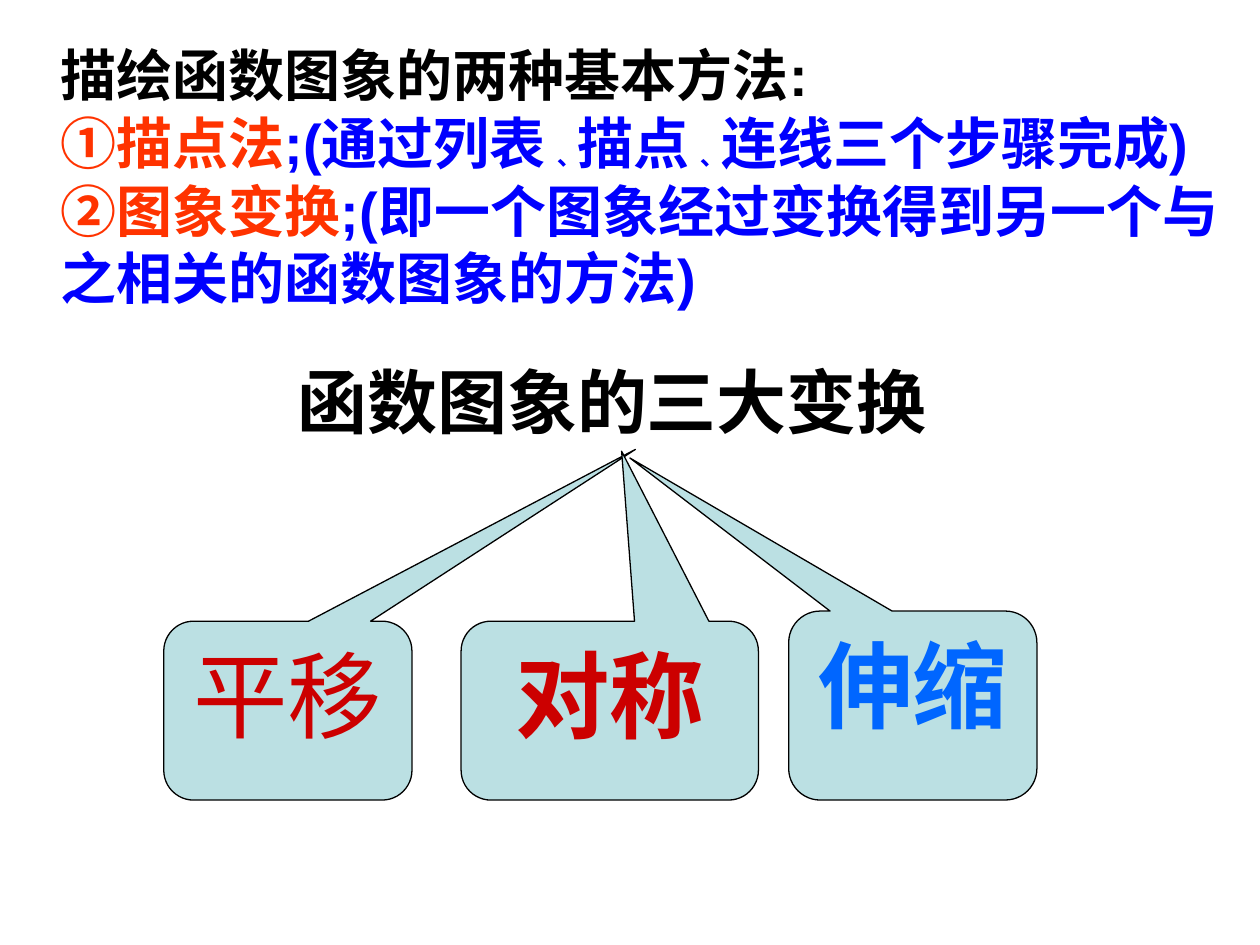
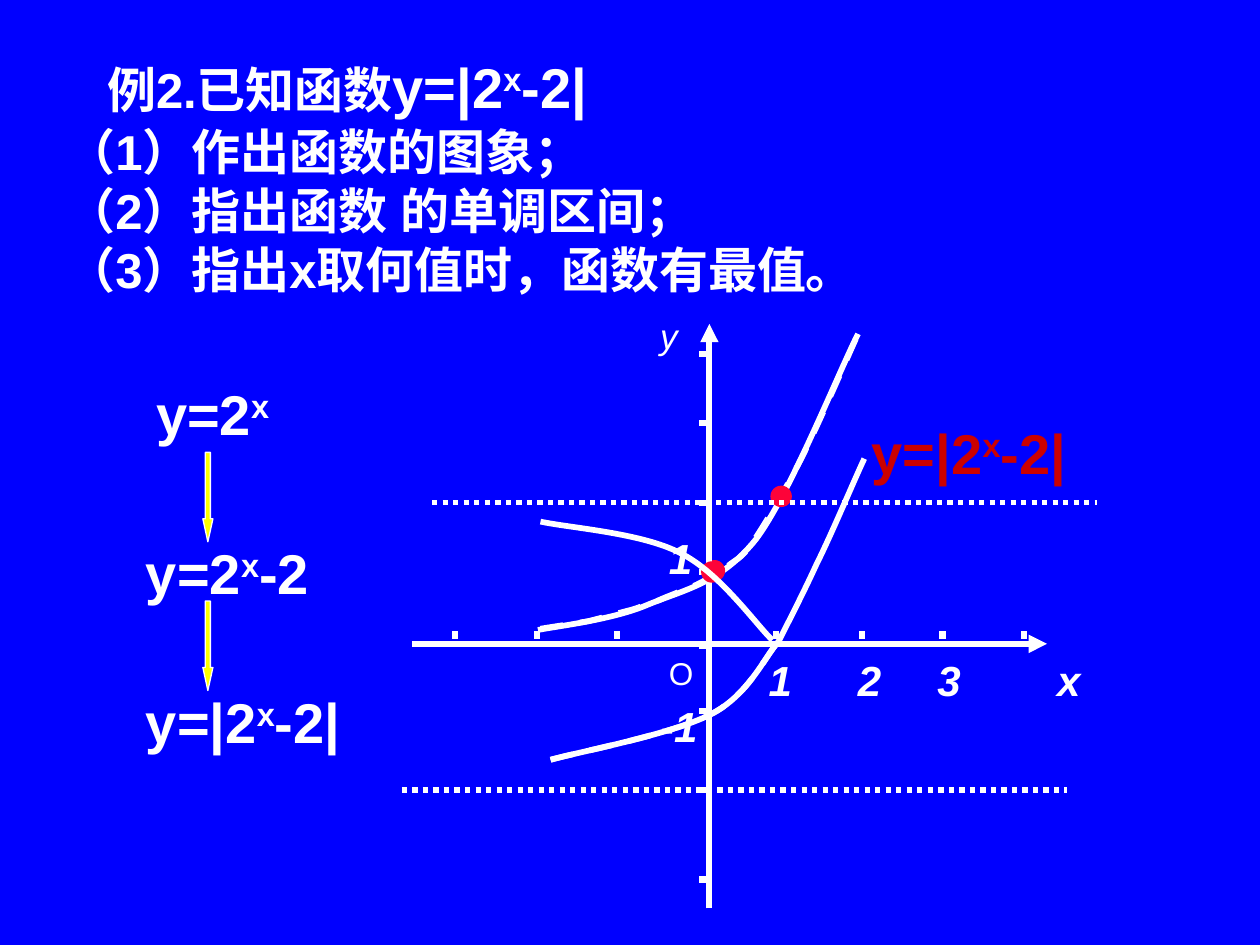
import pptx
import pptx.dml.color
import pptx.enum.dml
import pptx.enum.shapes
import pptx.enum.text
import pptx.oxml.ns
import pptx.util
from lxml import etree
from pptx.util import Inches, Pt

SHAPE = pptx.enum.shapes.MSO_SHAPE
DASH = pptx.enum.dml.MSO_LINE
LEFT = pptx.enum.text.PP_ALIGN.LEFT
CENTER = pptx.enum.text.PP_ALIGN.CENTER

BLACK, WHITE, BLUE = "000000", "FFFFFF", "0000FF"
ORANGE, RED, SKY = "FF3300", "CC0000", "0066FF"
CALLOUT_FILL, DOT, YELLOW = "BBE0E3", "FD0339", "FFFF00"
LINE_HEIGHT = 1.21


def color(value):
    return pptx.dml.color.RGBColor.from_string(value)


def add_xml(parent, tag, **attributes):
    return etree.SubElement(parent, pptx.oxml.ns.qn(tag), attributes)


def run(text, size=32, fill=WHITE, bold=True, italic=False, raised=False, font="Arial"):
    """Describe one run of text."""
    return dict(text=text, size=size, fill=fill, bold=bold, italic=italic,
                raised=raised, font=font)


def formula(before, after="", fill=WHITE):
    """Runs for an expression with x as the exponent."""
    runs = [run(before, fill=fill), run("x", fill=fill, raised=True)]
    return runs + ([run(after, fill=fill)] if after else [])


# Text
def fill_paragraph(paragraph, runs, align):
    paragraph.alignment = align
    paragraph.space_before = Pt(0)
    paragraph.line_spacing = Pt(round(LINE_HEIGHT * max(item["size"] for item in runs), 1))
    for item in runs:
        text_run = paragraph.add_run()
        text_run.text = item["text"]
        font = text_run.font
        font.size = Pt(item["size"])
        font.bold = item["bold"]
        font.italic = item["italic"]
        font.color.rgb = color(item["fill"])
        font.name = item["font"]
        properties = text_run._r.get_or_add_rPr()
        add_xml(properties, "a:ea", typeface="Arial")
        if item["raised"]:
            properties.set("baseline", "30000")


def fill_text(shape, paragraphs, align=LEFT, wrap=True, inset=(0.1, 0.05)):
    frame = shape.text_frame
    frame.word_wrap = wrap
    frame.auto_size = pptx.enum.text.MSO_AUTO_SIZE.NONE
    frame.vertical_anchor = pptx.enum.text.MSO_ANCHOR.TOP
    frame.margin_left = frame.margin_right = Inches(inset[0])
    frame.margin_top = frame.margin_bottom = Inches(inset[1])
    for index, runs in enumerate(paragraphs):
        paragraph = frame.add_paragraph() if index else frame.paragraphs[0]
        fill_paragraph(paragraph, runs, align)


def add_text(slide, box, paragraphs, **options):
    shape = slide.shapes.add_textbox(*map(Inches, box))
    fill_text(shape, paragraphs, **options)


def set_title(slide, box, runs, **options):
    title = slide.shapes.title
    title.left, title.top, title.width, title.height = map(Inches, box)
    fill_text(title, [runs], **options)


def add_axis_label(slide, left, top, text, size=24, bold=True, italic=True,
                   width=0.24, height=0.4):
    label = run(text, size, bold=bold, italic=italic)
    add_text(slide, (left, top, width, height), [[label]], inset=(0, 0))


# Shapes and lines
def add_shape(slide, preset, box, fill, outline, adjustments=()):
    shape = slide.shapes.add_shape(preset, *map(Inches, box))
    shape.shadow.inherit = False
    shape.fill.solid()
    shape.fill.fore_color.rgb = color(fill)
    shape.line.color.rgb = color(outline)
    shape.line.width = Pt(0.75)
    for index, value in enumerate(adjustments):
        shape.adjustments[index] = value
    return shape


def add_callout(slide, box, pointer, label, fill, bold=True):
    shape = add_shape(slide, SHAPE.ROUNDED_RECTANGULAR_CALLOUT, box,
                      CALLOUT_FILL, BLACK, (*pointer, 0.167))
    fill_text(shape, [[run(label, 54, fill, bold)]], align=CENTER)


def add_dot(slide, left, top):
    add_shape(slide, SHAPE.OVAL, (left, top, 0.16, 0.16), DOT, DOT)


def add_line(slide, start, end, width=3.5, dash=None, arrow=False):
    connector = slide.shapes.add_connector(
        pptx.enum.shapes.MSO_CONNECTOR.STRAIGHT, *map(Inches, (*start, *end)))
    connector.line.color.rgb = color(WHITE)
    connector.line.width = Pt(width)
    if dash:
        connector.line.dash_style = dash
    if arrow:
        add_xml(connector.line._get_or_add_ln(), "a:tailEnd", type="triangle")
    add_xml(connector._element.spPr, "a:effectLst")


def bend_segments(shape):
    """Join every three straight segments into one cubic curve."""
    segments = list(shape._element.iter(pptx.oxml.ns.qn("a:lnTo")))
    outline = segments[0].getparent()
    for first in range(0, len(segments), 3):
        cubic = add_xml(outline, "a:cubicBezTo")
        for segment in segments[first:first + 3]:
            cubic.append(segment[0])
            outline.remove(segment)


def add_curve(slide, knots, dash=None):
    """Draw cubic curves: a start, then two controls and an end for each."""
    points = [tuple(map(Inches, knot)) for knot in knots]
    builder = slide.shapes.build_freeform(*points[0])
    builder.add_line_segments(points[1:], close=False)
    curve = builder.convert_to_shape()
    bend_segments(curve)
    curve.shadow.inherit = False
    curve.fill.background()
    curve.line.color.rgb = color(WHITE)
    curve.line.width = Pt(3.25)
    if dash:
        curve.line.dash_style = dash


def new_slide(presentation, background):
    slide = presentation.slides.add_slide(presentation.slide_layouts[5])
    slide.background.fill.solid()
    slide.background.fill.fore_color.rgb = color(background)
    return slide


# Slides
def build_methods(presentation):
    slide = new_slide(presentation, WHITE)
    set_title(slide, (2.01, 2.79, 6.48, 0.77),
              [run("函数图象的三大变换", 40, BLACK, font="Noto Sans CJK SC")],
              inset=(0.35, 0.05))
    add_text(slide, (0.38, 0.27, 9.61, 2.24), [
        [run("描绘函数图象的两种基本方法:", fill=BLACK)],
        [run("①描点法", fill=ORANGE), run(";(通过列表", fill=BLUE), run("﹑", 18, BLUE),
         run("描点", fill=BLUE), run("﹑", 18, BLUE), run("连线三个步骤完成)", fill=BLUE)],
        [run("②图象变换", fill=ORANGE),
         run(";(即一个图象经过变换得到另一个与", fill=BLUE)],
        [run("之相关的函数图象的方法)", fill=BLUE)],
    ], wrap=False)
    add_callout(slide, (1.3, 4.93, 1.97, 1.42), (1.4, -1.46), "平移", RED, bold=False)
    add_callout(slide, (3.66, 4.93, 2.36, 1.42), (0.04, -1.45), "对称", RED)
    add_callout(slide, (6.26, 4.85, 1.97, 1.5), (-1.14, -1.31), "伸缩", SKY)


def add_axes(slide):
    for x in (3.61, 4.26, 4.9, 6.16, 6.84, 7.48, 8.13):
        add_line(slide, (x, 5.07), (x, 5.01))
    for y in (2.81, 3.36, 3.99, 4.54, 5.13, 5.64, 6.27, 6.98):
        add_line(slide, (5.55, y), (5.63, y))
    add_line(slide, (5.63, 7.21), (5.63, 2.57), arrow=True)
    add_line(slide, (3.27, 5.11), (8.31, 5.11), arrow=True)
    add_axis_label(slide, 5.31, 5.19, "O", 18, bold=False, italic=False, height=0.3)
    add_axis_label(slide, 5.24, 2.49, "y", 20, bold=False, width=0.36, height=0.33)
    for left, text in ((6.1, "1"), (6.81, "2"), (7.44, "3"), (8.39, "x")):
        add_axis_label(slide, left, 5.19, text)
    add_axis_label(slide, 5.31, 4.22, "1")
    add_axis_label(slide, 5.24, 5.56, "-1", width=0.48)


def build_example(presentation):
    slide = new_slide(presentation, BLUE)
    set_title(slide, (0.75, 0.36, 4.41, 0.64),
              [run("例2.已知函数", 28)] + formula("y=|2", "-2|"))

    # Exponential curve beneath the axes
    add_curve(slide, [(4.27, 5), (4.42, 4.97), (4.86, 4.92), (5.14, 4.8), (5.43, 4.68),
                      (5.72, 4.63), (6, 4.28), (6.27, 3.92), (6.64, 2.99), (6.81, 2.65)])
    add_dot(slide, 5.59, 4.45)
    questions = ("（1）作出函数的图象；", "（2）指出函数 的单调区间；",
                 "（3）指出x取何值时，函数有最值。")
    add_text(slide, (0.43, 0.91, 7.64, 1.5), [[run(text, 28)] for text in questions])
    add_axes(slide)

    # Steps of the transformation
    add_text(slide, (1.14, 2.96, 1.26, 0.64), [formula("y=2")])
    add_text(slide, (1.06, 4.22, 4.41, 0.64), [formula("y=2", "-2")])
    add_text(slide, (1.06, 5.4, 2.28, 0.64), [formula("y=|2", "-2|")])
    for top in (3.59, 4.77):
        add_shape(slide, SHAPE.DOWN_ARROW, (1.61, top, 0.08, 0.71), YELLOW, WHITE, (0.5, 2.28))

    # Curves and marked points
    add_curve(slide, [
        (4.29, 4.99), (4.35, 4.98), (4.55, 4.95), (4.67, 4.93), (4.79, 4.9), (4.93, 4.86),
        (5.01, 4.84), (5.08, 4.82), (5.09, 4.81), (5.13, 4.8), (5.17, 4.78), (5.2, 4.78),
        (5.26, 4.75), (5.33, 4.72), (5.44, 4.68), (5.53, 4.64), (5.61, 4.6), (5.71, 4.54),
        (5.78, 4.49), (5.85, 4.43), (5.87, 4.45), (5.97, 4.31), (6.07, 4.16), (6.22, 3.91),
        (6.36, 3.64), (6.5, 3.36), (6.72, 2.85), (6.81, 2.65)], DASH.DASH)
    add_dot(slide, 6.12, 3.86)
    add_dot(slide, 5.57, 4.46)
    add_curve(slide, [(6.18, 5.09), (6.23, 4.99), (6.37, 4.72), (6.48, 4.48),
                      (6.6, 4.24), (6.78, 3.81), (6.86, 3.64)])
    for dash in (DASH.DASH, None):
        add_curve(slide, [(4.37, 6.03), (4.58, 5.97), (5.33, 5.83), (5.64, 5.67),
                          (5.94, 5.52), (6.07, 5.21), (6.18, 5.09)], dash)
    add_curve(slide, [(6.13, 5.08), (6.01, 4.97), (5.71, 4.54), (5.4, 4.39),
                      (5.1, 4.23), (4.52, 4.19), (4.29, 4.14)])
    add_text(slide, (6.82, 3.27, 1.74, 0.64), [formula("y=|2", "-2|", RED)], wrap=False)

    # Asymptotes
    for left, y in ((3.19, 6.27), (3.43, 3.99)):
        add_line(slide, (left, y), (left + 5.28, y), 3, DASH.ROUND_DOT)


def main():
    presentation = pptx.Presentation()
    presentation.slide_width = Inches(10)
    presentation.slide_height = Inches(7.5)
    build_methods(presentation)
    build_example(presentation)
    presentation.save("out.pptx")


if __name__ == "__main__":
    main()
